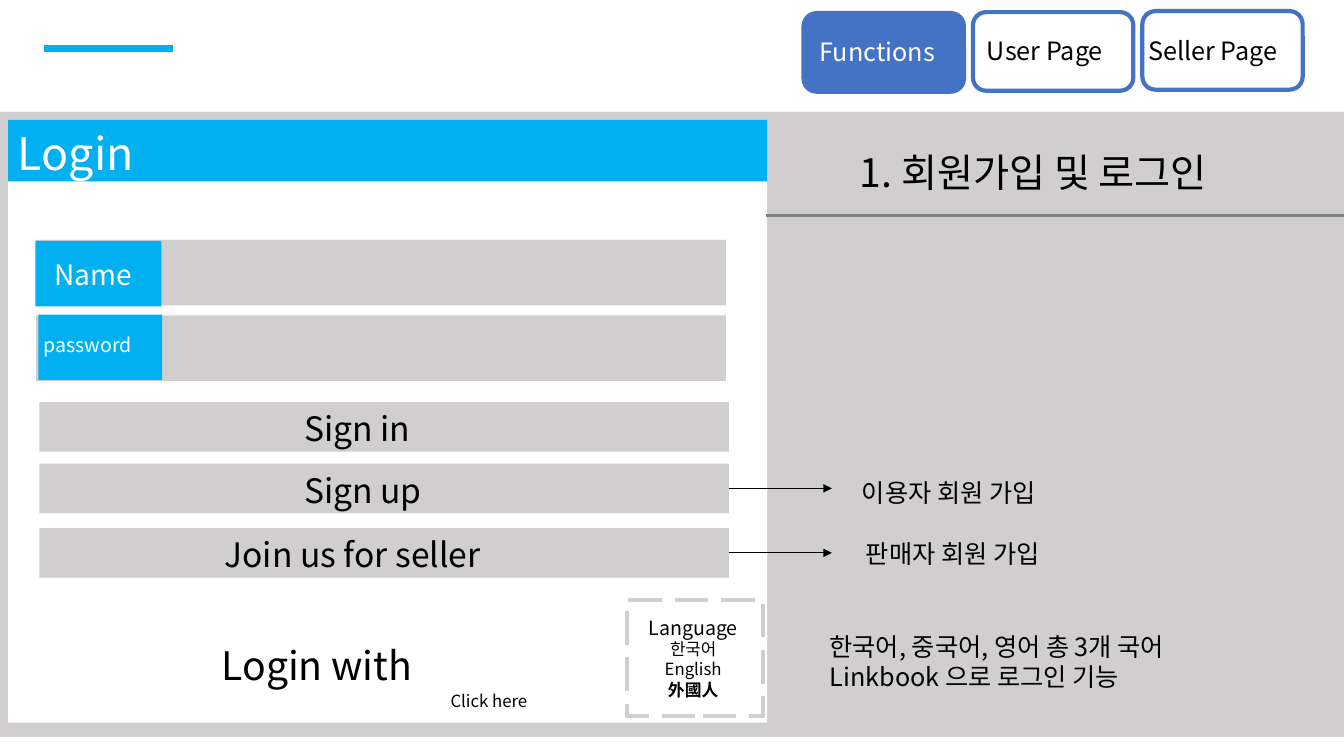
from dataclasses import dataclass
from typing import Optional

from lxml.etree import SubElement
from pptx import Presentation
from pptx.dml.color import RGBColor
from pptx.enum.dml import MSO_LINE_DASH_STYLE as Dash
from pptx.enum.shapes import MSO_CONNECTOR as Connector, MSO_SHAPE as Preset
from pptx.enum.text import MSO_AUTO_SIZE as AutoSize, PP_ALIGN as Align
from pptx.oxml.ns import qn
from pptx.util import Inches, Pt


@dataclass(frozen=True)
class Theme:
    font: str = "Noto Sans CJK KR"
    black: str = "000000"
    white: str = "FFFFFF"
    grey: str = "D0CECE"
    rule: str = "808080"
    cyan: str = "00B0F0"
    blue: str = "4472C4"
    title: float = 32
    heading: float = 28
    button: float = 24
    field: float = 20
    body: float = 18
    small: float = 14
    tiny: float = 12


@dataclass(frozen=True)
class Box:
    left: float
    top: float
    width: float
    height: float
    fill: Optional[str] = None
    outline: Optional[str] = None
    dash: Optional[Dash] = None
    preset: Preset = Preset.RECTANGLE


@dataclass(frozen=True)
class Line:
    text: str
    size: float
    bold: bool = False
    spacing: float = 1


@dataclass(frozen=True)
class Action:
    label: str
    top: float
    label_left: float
    label_width: float
    arrow: bool


@dataclass(frozen=True)
class Tab:
    label: str
    label_left: float
    label_top: float
    label_width: float
    active: bool = False


THEME = Theme()
prs = Presentation()
prs.slide_width, prs.slide_height = Inches(13.33), Inches(7.5)
slide = prs.slides.add_slide(prs.slide_layouts[6])


def draw_box(box: Box):
    shape = slide.shapes.add_shape(
        box.preset, Inches(box.left), Inches(box.top), Inches(box.width), Inches(box.height)
    )
    shape.shadow.inherit = False
    if box.fill:
        shape.fill.solid()
        shape.fill.fore_color.rgb = RGBColor.from_string(box.fill)
    else:
        shape.fill.background()
    if box.outline:
        shape.line.color.rgb = RGBColor.from_string(box.outline)
        shape.line.width = Pt(3)
        if box.dash:
            shape.line.dash_style = box.dash
    else:
        shape.line.fill.background()
    return shape


def draw_line(left: float, right: float, y: float, color: str, weight: float,
              source=None, arrow: bool = False) -> None:
    line = slide.shapes.add_connector(
        Connector.STRAIGHT, Inches(left), Inches(y), Inches(right), Inches(y)
    )
    if source is not None:
        line.begin_connect(source, 3)
        line.end_y = line.begin_y
    line.line.color.rgb = RGBColor.from_string(color)
    line.line.width = Pt(weight)
    if arrow:
        SubElement(line.line._get_or_add_ln(), qn("a:tailEnd"), type="triangle")
    SubElement(line._element.spPr, qn("a:effectLst"))


def write(text: str | list[Line], left: float, top: float, width: float, height: float, *,
          size: float = THEME.body, color: str = THEME.black,
          align: Align = Align.LEFT) -> None:
    box = slide.shapes.add_textbox(Inches(left), Inches(top), Inches(width), Inches(height))
    frame = box.text_frame
    frame.word_wrap = True
    frame.auto_size = AutoSize.SHAPE_TO_FIT_TEXT
    lines = [Line(text, size)] if isinstance(text, str) else text
    for index, line in enumerate(lines):
        paragraph = frame.add_paragraph() if index else frame.paragraphs[0]
        paragraph.alignment = align
        paragraph.line_spacing = line.spacing
        run = paragraph.add_run()
        run.text = line.text
        run.font.size = Pt(line.size)
        run.font.bold = line.bold
        run.font.color.rgb = RGBColor.from_string(color)
        run.font.name = THEME.font
        SubElement(run.font._element, qn("a:ea"), typeface=THEME.font)


ACTIONS = [
    Action("Sign in", 3.99, 2.92, 1.84, False),
    Action("Sign up", 4.6, 2.92, 1.84, True),
    Action("Join us for seller", 5.24, 2.13, 3.43, True),
]
TABS = [
    Tab("Functions", 8.03, 0.31, 1.53, active=True),
    Tab("User Page", 9.69, 0.3, 1.59),
    Tab("Seller Page", 11.29, 0.3, 1.9),
]
LANGUAGES = [
    Line("Language", THEME.small, spacing=1.5),
    Line("한국어", THEME.tiny, spacing=1),
    Line("English", THEME.tiny),
    Line("外國人", THEME.tiny, bold=True),
]
FEATURES = [
    Line("한국어, 중국어, 영어 총 3개 국어", THEME.body),
    Line("Linkbook 으로 로그인 기능", THEME.body),
]


def draw_tabs() -> None:
    for index, tab in enumerate(TABS):
        draw_box(Box(7.97 + 1.68 * index, 0.13 - 0.01 * index, 1.59, 0.78,
                     THEME.blue if tab.active else None, THEME.blue,
                     preset=Preset.ROUNDED_RECTANGLE))
        write(tab.label, tab.label_left, tab.label_top, tab.label_width, 0.4,
              color=THEME.white if tab.active else THEME.black)


def draw_login_form() -> None:
    for box in (
        Box(0.08, 1.73, 7.53, 5.44, THEME.white),
        Box(0.08, 1.19, 7.53, 0.61, THEME.cyan),
        Box(0.36, 2.38, 6.84, 0.65, THEME.grey),
        Box(0.36, 3.13, 6.84, 0.65, THEME.grey),
        Box(0.38, 3.12, 1.23, 0.65, THEME.cyan),
        Box(0.35, 2.39, 1.25, 0.65, THEME.cyan),
        Box(6.22, 5.95, 1.35, 1.15, outline=THEME.grey, dash=Dash.LONG_DASH),
    ):
        draw_box(box)
    write("Login", 0.08, 1.2, 2.14, 0.64, size=THEME.title, color=THEME.white)
    write("Name", 0.44, 2.51, 1.48, 0.44, size=THEME.field, color=THEME.white)
    write("password", 0.33, 3.25, 1.94, 0.34, size=THEME.small, color=THEME.white)
    for action in ACTIONS:
        button = draw_box(Box(0.39, action.top, 6.84, 0.49, THEME.grey))
        write(action.label, action.label_left, action.top + 0.01, action.label_width, 0.5,
              size=THEME.button)
        if action.arrow:
            draw_line(7.23, 8.25, action.top + 0.245, THEME.black, 0.5, button, arrow=True)
    write("Login with", 2.1, 6.31, 2.43, 0.57, size=THEME.heading)
    write("Click here", 4.37, 6.8, 1.94, 0.3, size=THEME.tiny)
    write(LANGUAGES, 6.07, 5.94, 1.61, 1.06, align=Align.CENTER)


def draw_explanation() -> None:
    write("1. 회원가입 및 로그인", 8.43, 1.42, 4.51, 0.57, size=THEME.heading)
    draw_line(7.6, 13.33, 2.14, THEME.rule, 2.25)
    write("이용자 회원 가입", 8.45, 4.69, 3.22, 0.4)
    write("판매자 회원 가입", 8.49, 5.29, 3.16, 0.4)
    write(FEATURES, 8.13, 6.21, 4.54, 0.71)


def main() -> None:
    draw_box(Box(0, 1.11, 13.33, 6.2, THEME.grey))
    draw_line(0.44, 1.72, 0.48, THEME.cyan, 5)
    draw_tabs()
    draw_login_form()
    draw_explanation()
    prs.save("out.pptx")


if __name__ == "__main__":
    main()
